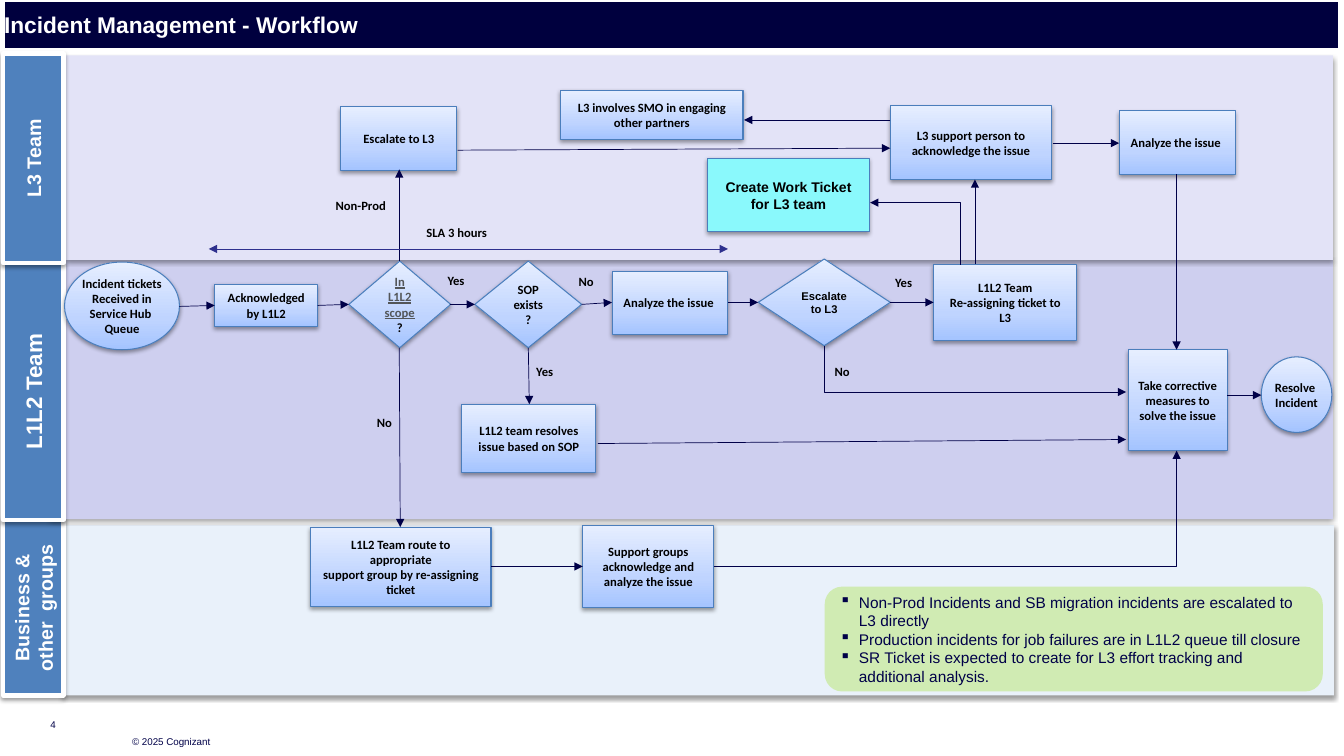
from pptx import Presentation
from pptx import util as u
from pptx.dml.color import RGBColor
from pptx.enum import shapes, text
from pptx.oxml import parse_xml
from pptx.oxml.ns import nsdecls, qn

NAVY = RGBColor(0x00, 0x00, 0x48)
TITLE_FILL = RGBColor(0x00, 0x00, 0x3E)
WHITE = RGBColor(0xFF, 0xFF, 0xFF)
BLACK = RGBColor(0x00, 0x00, 0x00)
GRAY = RGBColor(0x53, 0x56, 0x59)
TAB_BLUE = RGBColor(0x4F, 0x81, 0xBD)
EDGE_BLUE = RGBColor(0x4B, 0x7E, 0xBC)
SLA_BLUE = RGBColor(0x2E, 0x30, 0x8E)
LILAC = RGBColor(0xE3, 0xE3, 0xF7)
LAVENDER = RGBColor(0xCE, 0xCF, 0xEF)
PALE_BLUE = RGBColor(0xE9, 0xF1, 0xFA)
CYAN = RGBColor(0x8A, 0xF9, 0xFC)
GREEN = RGBColor(0xD0, 0xEB, 0xB3)
STEP_STOPS = [(0, RGBColor(0xA4, 0xC4, 0xFF)), (35, RGBColor(0xBF, 0xD4, 0xFF)),
              (100, RGBColor(0xE6, 0xEE, 0xFF))]

RECT = shapes.MSO_SHAPE.RECTANGLE
OVAL = shapes.MSO_SHAPE.OVAL
DIAMOND = shapes.MSO_SHAPE.DIAMOND
CENTER = text.PP_ALIGN.CENTER
LEFT = text.PP_ALIGN.LEFT

LANES = [
    ((0, 5.16, 13.23, 1.74), "Business & other  groups", 14, PALE_BLUE, (0.61, 0.05, 12.62, 1.69), [
        (RECT, (5.78, 0.05, 1.3, 0.82), "Support groups acknowledge and analyze the issue"),
        (RECT, (3.08, 0.07, 1.79, 0.79),
         "L1L2 Team route to appropriate\vsupport group by re-assigning ticket"),
    ]),
    ((0, 2.61, 13.23, 2.55), "L1L2 Team", 16, LAVENDER, (0.5, -0.03, 12.72, 2.57), [
        (OVAL, (0.64, -0.01, 1.14, 0.87), "Incident tickets\nReceived in\nService Hub \nQueue"),
        (RECT, (2.13, 0.21, 1.02, 0.42), "Acknowledged by L1L2"),
        (DIAMOND, (3.46, -0.02, 1.01, 0.86), "In L1L2 scope"),
        (DIAMOND, (4.71, -0.02, 1.06, 0.86), "SOP exists?"),
        (RECT, (6.07, 0.08, 1.15, 0.63), "Analyze the issue "),
        (DIAMOND, (7.52, -0.04, 1.31, 0.86), "Escalate to L3"),
        (RECT, (9.26, 0.01, 1.42, 0.76), "L1L2 Team\vRe-assigning ticket to L3"),
        (RECT, (4.58, 1.4, 1.33, 0.68), "L1L2 team resolves issue based on SOP"),
        (RECT, (11.19, 0.86, 0.98, 1), "Take corrective measures to solve the issue"),
        (OVAL, (12.51, 0.93, 0.7, 0.75), "Resolve \nIncident"),
    ]),
    ((0, 0.53, 13.23, 2.08), "L3 Team", 14, LILAC, (0.65, 0.02, 12.57, 2.03), [
        (RECT, (3.38, 0.53, 1.15, 0.63), "Escalate to L3"),
        (RECT, (5.56, 0.37, 1.81, 0.48), "L3 involves SMO in engaging other partners"),
        (RECT, (7.02, 1.04, 1.6, 0.73), "Create Work Ticket for L3 team"),
        (RECT, (8.83, 0.52, 1.6, 0.73), "L3 support person to acknowledge the issue"),
        (RECT, (11.1, 0.57, 1.15, 0.63), "Analyze the issue "),
    ]),
]
SPECIAL_FONTS = {(DIAMOND, "Escalate to L3"): ("Arial", 8),
                 (RECT, "Create Work Ticket for L3 team"): ("Arial", 10)}

ARROWS = [
    (4.87, 5.62, 5.78, 5.62), (1.78, 3.04, 2.13, 3.03), (3.15, 3.03, 3.46, 3.02),
    (4.46, 3.02, 4.71, 3.02), (5.77, 3.02, 6.07, 3), (3.96, 3.45, 3.97, 5.23),
    (7.22, 3, 7.52, 3), (11.67, 1.73, 11.67, 3.47), (9.67, 2.62, 9.67, 1.78),
    (12.17, 3.92, 12.51, 3.92), (5.93, 4.4, 11.17, 4.36), (10.44, 1.42, 11.1, 1.42),
    (8.83, 3, 9.26, 3), (5.24, 3.45, 5.25, 4.01), (3.96, 2.59, 3.96, 1.68),
    (4.54, 1.49, 8.83, 1.47), (8.83, 1.19, 7.38, 1.19),
]
ELBOWS = [((7.08, 5.62, 11.67, 4.47), ["tailEnd"]), ((11.17, 3.89, 8.18, 3.43), ["headEnd"]),
          ((8.63, 2.01, 9.52, 2.63), ["headEnd"])]
LABELS = [((8.78, 2.68, 0.63), "Yes"), ((3.64, 4.07, 0.6), "No"), ((5.64, 2.67, 0.43), "No"),
          ((5.22, 3.56, 0.58), "Yes"), ((4.34, 2.66, 0.48), "Yes"), ((8.18, 3.56, 0.6), "No"),
          ((4.13, 2.18, 1.29), "SLA 3 hours"), ((3.23, 1.91, 0.76), "Non-Prod")]
NOTES = ["Non-Prod Incidents and SB migration incidents are escalated to L3 directly",
         "Production incidents for job failures are in L1L2 queue till closure",
         "SR Ticket is expected to create for L3 effort tracking and additional analysis."]


def inches(*lengths):
    """Convert plain numbers to lengths."""
    return [u.Inches(length) for length in lengths]


def within(box, part):
    """Shift a part's left and top by those of its box."""
    return inches(box[0] + part[0], box[1] + part[1], *part[2:])


def write(frame, wording, size, color, face="Arial", bold=True, align=CENTER):
    """Put formatted wording into a text frame."""
    frame.text = wording
    for para in frame.paragraphs:
        para.alignment = align
        for span in para.runs:
            font = span.font
            font.name, font.size, font.bold = face, u.Pt(size), bold
            font.color.rgb = color


def add_block(page, kind, place, fill, edge=None, width=0.75, shadow=True):
    """Add a filled shape; a list as fill gives gradient stops."""
    block = page.shapes.add_shape(kind, *place)
    properties = block._element.spPr
    if isinstance(fill, list):
        stops = "".join(f'<a:gs pos="{spot * 1000}"><a:srgbClr val="{color}"/></a:gs>'
                        for spot, color in fill)
        properties.append(parse_xml(f'<a:gradFill {nsdecls("a")} rotWithShape="1"><a:gsLst>{stops}'
                                    '</a:gsLst><a:lin ang="16200000" scaled="0"/></a:gradFill>'))
    else:
        block.fill.solid()
        block.fill.fore_color.rgb = fill
    if edge is None:
        block.line.fill.background()
    else:
        block.line.color.rgb = edge
        block.line.width = u.Pt(width)
    block.shadow.inherit = False
    if shadow:
        properties.find(qn("a:effectLst")).append(parse_xml(
            f'<a:outerShdw {nsdecls("a")} blurRad="40000" dist="20000" dir="5400000" rotWithShape="0">'
            '<a:srgbClr val="000000"><a:alpha val="38000"/></a:srgbClr></a:outerShdw>'))
    block.text_frame.vertical_anchor = text.MSO_ANCHOR.MIDDLE
    block.text_frame.word_wrap = True
    return block


def add_title(page, box):
    """Place the title bar."""
    title = page.shapes.title
    title.left, title.top, title.width, title.height = inches(*box)
    title.fill.solid()
    title.fill.fore_color.rgb = TITLE_FILL
    title.line.color.rgb = WHITE
    title.line.width = u.Pt(1)
    frame = title.text_frame
    frame.auto_size = text.MSO_AUTO_SIZE.NONE
    frame.vertical_anchor = text.MSO_ANCHOR.TOP
    frame.margin_left = frame.margin_right = frame.margin_bottom = 0
    frame.margin_top = u.Inches(0.1)
    write(frame, "Incident Management - Workflow", 16.2, WHITE, align=LEFT)


def add_lane(page, box, name, size, fill, band):
    """Draw a swimlane band with its upright name tab."""
    add_block(page, RECT, within(box, band), fill)
    tab = add_block(page, RECT, within(box, (0.03, 0, 0.6, box[3])), TAB_BLUE, WHITE, 3)
    tab.text_frame._txBody.bodyPr.set("vert", "vert270")
    write(tab.text_frame, name, size, WHITE)


def add_steps(page, box, steps):
    """Place the steps of one lane."""
    for kind, place, wording in steps:
        face, size = SPECIAL_FONTS.get((kind, wording), ("Calibri", 9))
        fill = CYAN if size == 10 else STEP_STOPS
        frame = add_block(page, kind, within(box, place), fill, EDGE_BLUE).text_frame
        frame.word_wrap = kind != OVAL
        write(frame, wording, size, BLACK, face)
        if wording == "In L1L2 scope":
            para = frame.paragraphs[0]
            para.runs[0].font.color.rgb = GRAY
            para.runs[0].font.underline = True
            mark = para.add_run()
            mark.text = "?"
            mark.font.name, mark.font.size, mark.font.bold = face, u.Pt(size), True
            mark.font.color.rgb = BLACK


def add_arrow(page, box, ends, heads=("tailEnd",), color=NAVY, elbow=False):
    """Connect two points, with an optional single right-angle bend."""
    kind = shapes.MSO_CONNECTOR.ELBOW if elbow else shapes.MSO_CONNECTOR.STRAIGHT
    arrow = page.shapes.add_connector(kind, *within(box, ends[:2]), *within(box, ends[2:]))
    arrow.line.color.rgb = color
    arrow.line.width = u.Pt(0.5)
    properties = arrow._element.spPr
    if elbow:
        properties.find(qn("a:prstGeom")).set("prst", "bentConnector2")
    for head in heads:
        properties.find(qn("a:ln")).append(parse_xml(f'<a:{head} {nsdecls("a")} type="triangle"/>'))
    properties.append(parse_xml(f'<a:effectLst {nsdecls("a")}/>'))


def add_flow(page, box):
    """Draw the arrows between steps and their labels."""
    for ends in ARROWS:
        add_arrow(page, box, ends)
    for ends, heads in ELBOWS:
        add_arrow(page, box, ends, heads, elbow=True)
    add_arrow(page, box, (2.07, 2.47, 7.22, 2.47), ("headEnd", "tailEnd"), SLA_BLUE)
    for place, wording in LABELS:
        label = page.shapes.add_textbox(*within(box, (*place, 0.25)))
        label.text_frame.word_wrap = True
        write(label.text_frame, wording, 9, BLACK, "Calibri", align=LEFT)


def add_notes(page, box):
    """Place the bulleted remarks."""
    panel = add_block(page, shapes.MSO_SHAPE.ROUNDED_RECTANGLE, inches(*box), GREEN, shadow=False)
    write(panel.text_frame, "\n".join(NOTES), 11, NAVY, bold=False, align=LEFT)
    for para in panel.text_frame.paragraphs:
        settings = para._p.get_or_add_pPr()
        settings.set("marL", str(u.Inches(0.19)))
        settings.set("indent", str(u.Inches(-0.19)))
        settings.append(parse_xml(f'<a:buChar {nsdecls("a")} char="▪"/>'))


def add_footer(page, box):
    """Place the page number and the copyright line."""
    for place, wording in [((0, 0, 0.39, 0.21), "4"), ((0.81, 0.17, 1.31, 0.21), "© 2025 Cognizant")]:
        frame = page.shapes.add_textbox(*within(box, place)).text_frame
        frame.margin_left = frame.margin_right = frame.margin_top = frame.margin_bottom = 0
        frame.vertical_anchor = text.MSO_ANCHOR.BOTTOM
        frame.word_wrap = False
        write(frame, wording, 7, NAVY, bold=False, align=LEFT)


def main():
    """Build and save the deck."""
    deck = Presentation()
    deck.slide_width, deck.slide_height = inches(13.33, 7.5)
    page = deck.slides.add_slide(deck.slide_layouts[5])
    add_title(page, (0.04, 0.01, 13.24, 0.47))
    for *lane, steps in LANES:
        add_lane(page, *lane)
    for box, *_, steps in LANES:
        add_steps(page, box, steps)
    add_flow(page, (0, 0, 13.33, 7.5))
    add_notes(page, (8.18, 5.82, 4.94, 1.04))
    add_footer(page, (0.5, 7.04, 2.12, 0.38))
    deck.save("out.pptx")


if __name__ == "__main__":
    main()
